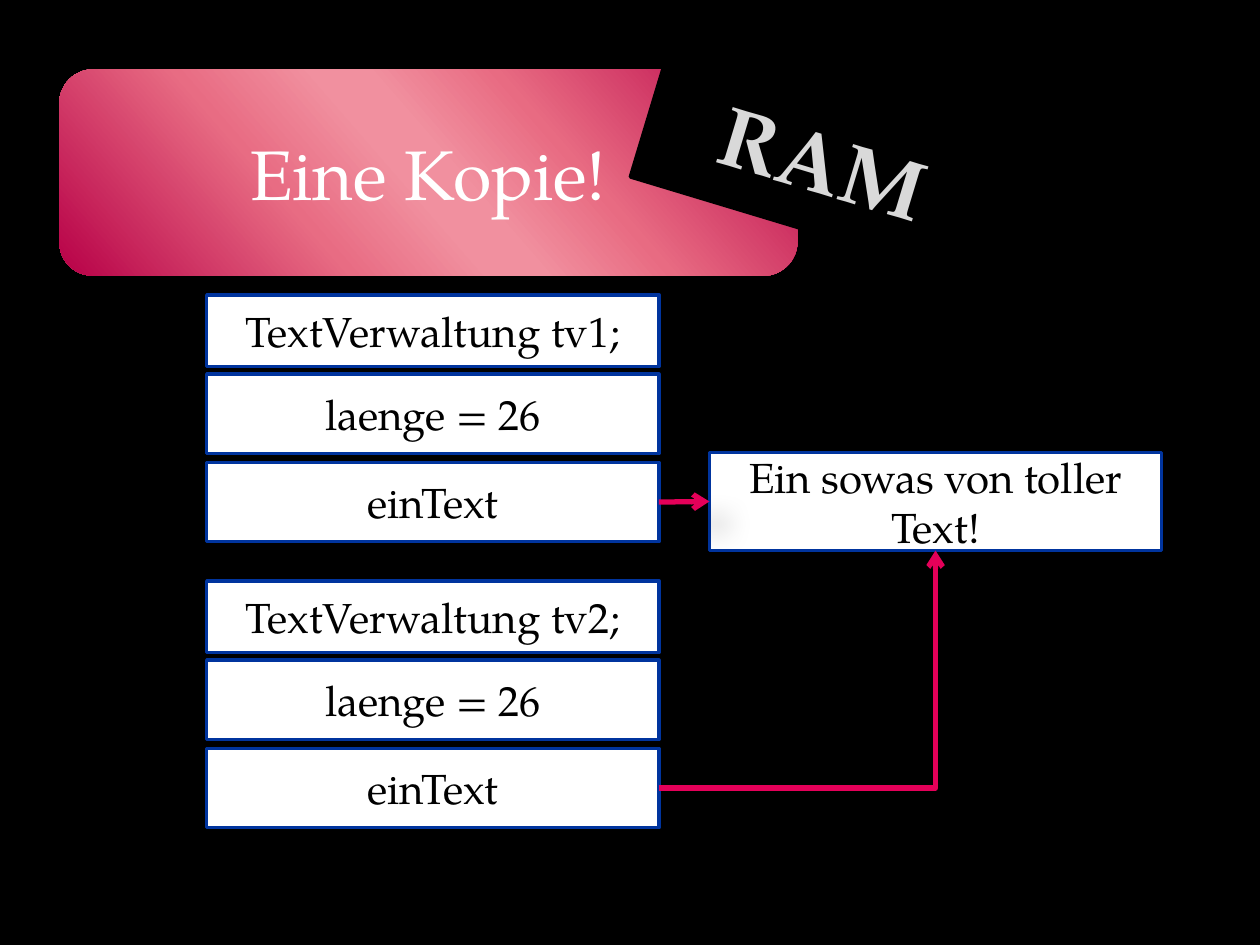
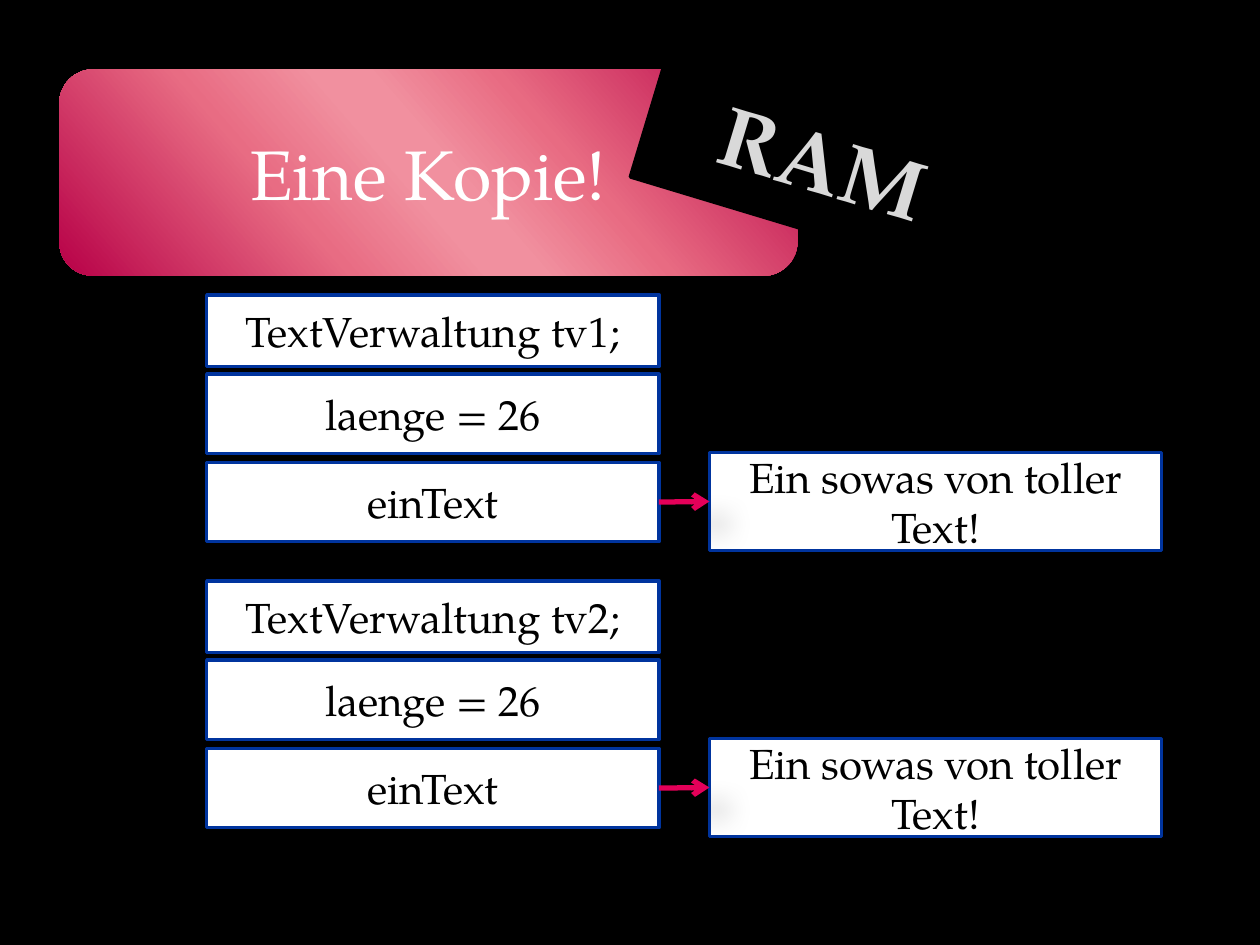
import pptx
import pptx.dml.color
import pptx.enum.dml
import pptx.enum.shapes
import pptx.enum.text
import pptx.oxml
import pptx.oxml.ns
import pptx.util

Inches = pptx.util.Inches
SHAPES = pptx.enum.shapes.MSO_SHAPE
CONNECTORS = pptx.enum.shapes.MSO_CONNECTOR
TOP, LEFT, BOTTOM, RIGHT = range(4)


def color(value):
    return pptx.dml.color.RGBColor.from_string(value)


def element(xml):
    return pptx.oxml.parse_xml(xml.replace(">", f' {pptx.oxml.ns.nsdecls("a")}>', 1))


class Deck:
    FONT = "TeX Gyre Pagella"
    BLACK, WHITE, GRAY = "000000", "FFFFFF", "D9D9D9"
    BLUE, PINK = "00349E", "E40059"
    BAND = (0.47, 0.55, 5.86, 1.64)
    BAND_STOPS = ((0, "B70047"), (33, "E86B82"), (47, "F1909F"),
                  (53, "F1909F"), (68, "E86C83"), (100, "B70047"))
    BAND_ANGLE = 139
    BOX_WIDTH = 3.59

    def __init__(self):
        self.presentation = pptx.Presentation()
        self.presentation.slide_width = Inches(10)
        self.presentation.slide_height = Inches(7.5)
        background = self.presentation.slide_master.background.fill
        background.solid()
        background.fore_color.rgb = color(self.BLACK)
        self.slide = None

    def add_slide(self, title):
        layout = self.presentation.slide_layouts[5]
        self.slide = self.presentation.slides.add_slide(layout)
        self.title(title)

    def set_text(self, shape, text, size, text_color, bold=False):
        frame = shape.text_frame
        frame.text = text
        frame.word_wrap = True
        frame.auto_size = pptx.enum.text.MSO_AUTO_SIZE.NONE
        frame.vertical_anchor = pptx.enum.text.MSO_ANCHOR.MIDDLE
        paragraph = frame.paragraphs[0]
        paragraph.alignment = pptx.enum.text.PP_ALIGN.CENTER
        paragraph.font.name = self.FONT
        paragraph.font.size = pptx.util.Pt(size)
        paragraph.font.bold = bold
        paragraph.font.color.rgb = color(text_color)

    def cast_shadow(self, shape):
        shape._element.spPr.append(element(
            '<a:effectLst><a:outerShdw blurRad="190500" dist="228600" dir="2700000">'
            f'<a:srgbClr val="{self.BLACK}"><a:alpha val="26000"/></a:srgbClr>'
            '</a:outerShdw></a:effectLst>'))

    def title(self, text):
        left, top, width, height = map(Inches, self.BAND)
        band = self.slide.shapes.add_shape(
            SHAPES.ROUNDED_RECTANGLE, left, top, width, height)
        stops = "".join(
            f'<a:gs pos="{position * 1000}"><a:srgbClr val="{value}"/></a:gs>'
            for position, value in self.BAND_STOPS)
        band._element.spPr.append(element(
            f'<a:gradFill rotWithShape="1"><a:gsLst>{stops}</a:gsLst>'
            f'<a:lin ang="{self.BAND_ANGLE * 60000}" scaled="0"/></a:gradFill>'))
        band.line.fill.background()
        self.cast_shadow(band)
        title = self.slide.shapes.title
        title.left, title.top, title.width, title.height = left, top, width, height
        self.set_text(title, text, 40, self.WHITE)
        title._element.addprevious(band._element)

    def block(self, kind, bounds, fill, line):
        shape = self.slide.shapes.add_shape(kind, *map(Inches, bounds))
        shape.shadow.inherit = False
        shape.fill.solid()
        shape.fill.fore_color.rgb = color(fill)
        shape.line.color.rgb = color(line)
        shape.line.width = pptx.util.Pt(2)
        return shape

    def box(self, text, left, top, height):
        shape = self.block(SHAPES.RECTANGLE, (left, top, self.BOX_WIDTH, height),
                           self.WHITE, self.BLUE)
        self.set_text(shape, text, 24, self.BLACK)
        return shape

    def variable(self, name, top):
        self.box(f"TextVerwaltung {name};", 1.64, top, 0.57)
        self.box("laenge = 26", 1.64, top + 0.63, 0.63)
        return self.box("einText", 1.64, top + 1.33, 0.63)

    def target(self, top):
        return self.box("Ein sowas von toller Text!", 5.63, top, 0.78)

    def label(self, text):
        shape = self.block(SHAPES.SNIP_1_RECTANGLE, (5.12, 0.61, 2.97, 1.25),
                           self.BLACK, self.BLACK)
        shape.rotation = 16.8
        self.set_text(shape, text, 48, self.GRAY, bold=True)

    def arrow(self, source, target, side=LEFT):
        bent = side == BOTTOM
        kind = CONNECTORS.ELBOW if bent else CONNECTORS.STRAIGHT
        connector = self.slide.shapes.add_connector(kind, 0, 0, 0, 0)
        connector.begin_connect(source, RIGHT)
        connector.end_connect(target, side)
        if bent:
            geometry = connector._element.spPr.find(pptx.oxml.ns.qn("a:prstGeom"))
            geometry.set("prst", "bentConnector2")
        connector.line.color.rgb = color(self.PINK)
        connector.line.width = pptx.util.Pt(3)
        line = connector._element.spPr.find(pptx.oxml.ns.qn("a:ln"))
        line.append(element('<a:tailEnd type="arrow"></a:tailEnd>'))
        self.cast_shadow(connector)


deck = Deck()
for own_text in (False, True):
    deck.add_slide("Eine Kopie!")
    first_pointer = deck.variable("tv1", 2.34)
    first_text = deck.target(3.59)
    deck.arrow(first_pointer, first_text)
    second_pointer = deck.variable("tv2", 4.61)
    if own_text:
        deck.arrow(second_pointer, deck.target(5.86))
    else:
        deck.arrow(second_pointer, first_text, BOTTOM)
    deck.label("RAM")

deck.presentation.save("out.pptx")
